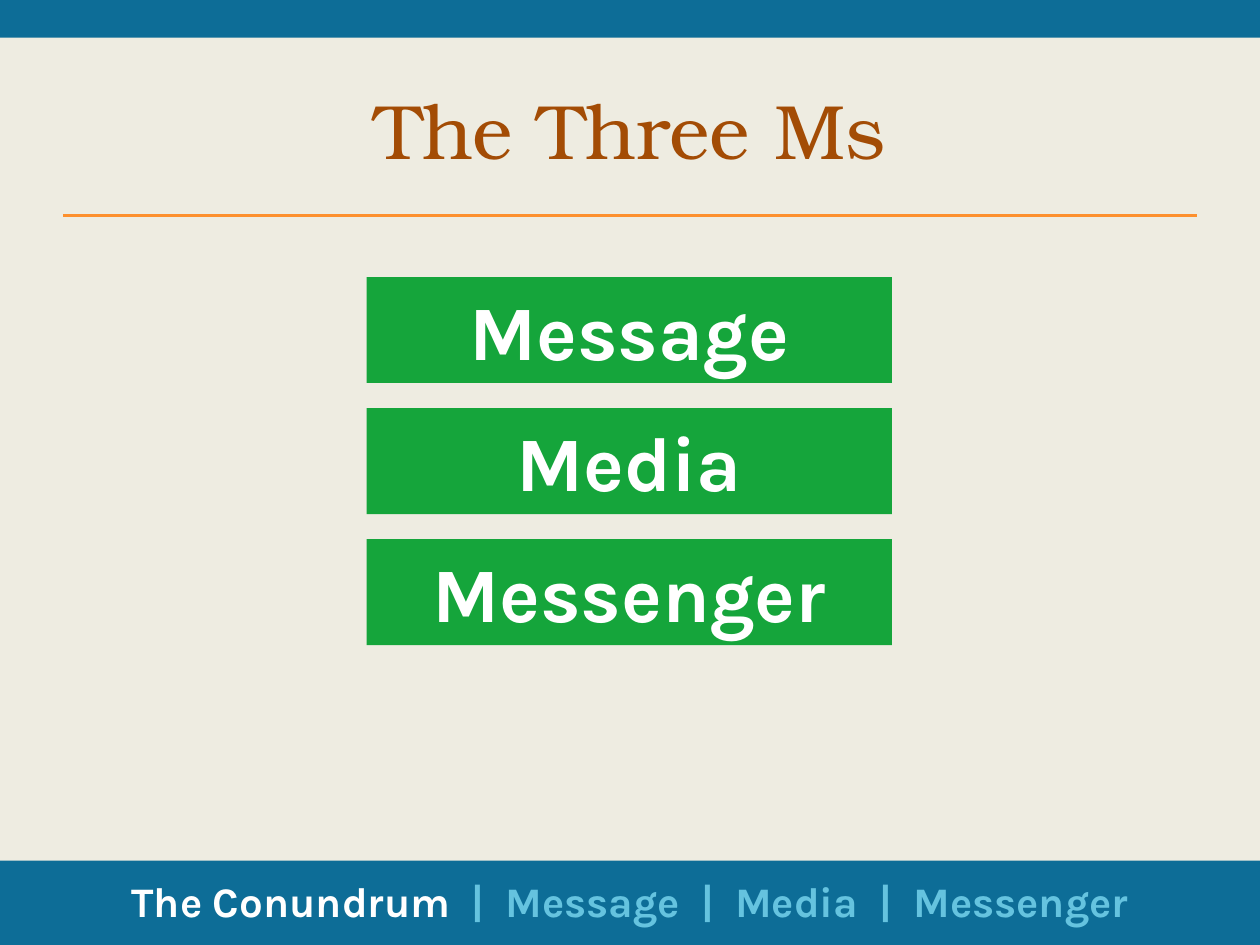
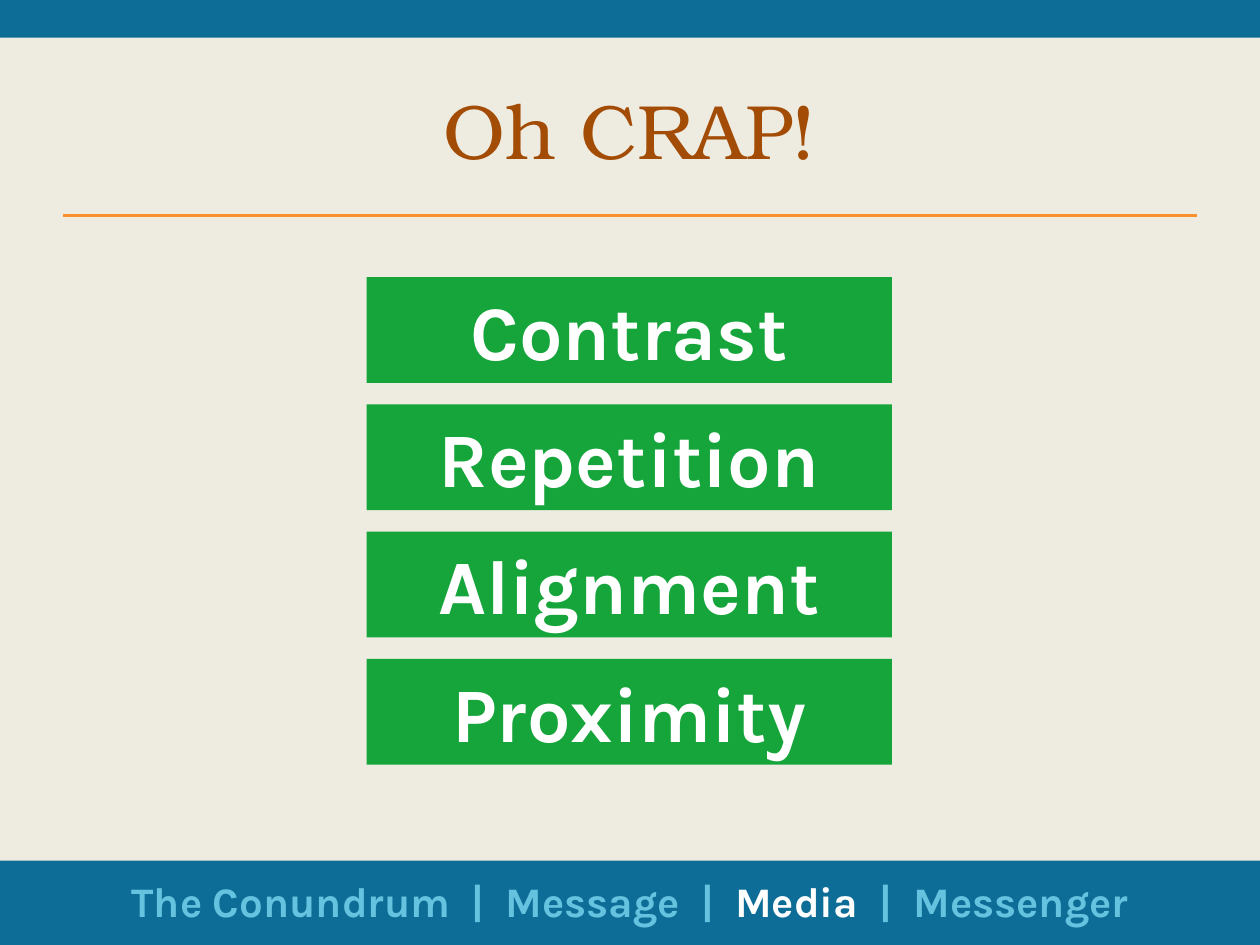
from dataclasses import dataclass

from lxml.etree import SubElement
from pptx import Presentation
from pptx.dml.color import RGBColor
from pptx.enum.shapes import MSO_CONNECTOR, MSO_SHAPE
from pptx.enum.text import MSO_ANCHOR as Anchor, MSO_AUTO_SIZE as AutoSize, PP_ALIGN as Align
from pptx.oxml.ns import qn
from pptx.util import Inches, Pt

SLIDE_WIDTH, SLIDE_HEIGHT = Inches(10), Inches(7.5)
COLUMNS, ROWS = 100, 75
COLUMN, ROW = SLIDE_WIDTH / COLUMNS, SLIDE_HEIGHT / ROWS

COLORS = {
    "background": "EEECE1",
    "band": "0D6D97",
    "rule": "FD902E",
    "title": "A34C05",
    "card": "15A53B",
    "active": "FFFFFF",
    "inactive": "65C3DF",
}
TITLE_FONT, BODY_FONT = "TeX Gyre Bonum", "Karla"
SECTIONS = ["The Conundrum", "Message", "Media", "Messenger"]
SEPARATOR_GAP = 6  # points added to the space on each side of a bar


@dataclass
class Box:
    """An area measured in grid columns and rows."""
    left: float
    top: float
    width: float
    height: float

    def emu(self):
        return (round(self.left * COLUMN), round(self.top * ROW),
                round(self.width * COLUMN), round(self.height * ROW))


TOP_BAND = Box(0, 0, COLUMNS, 3)
BOTTOM_BAND = Box(0, 68.3, COLUMNS, 6.7)
HEADER = Box(5, 5, 90, 12.1)
TITLE_ROWS = 10.5
CARD_STACK = Box(29.1, 22, 41.7, 38.7)
CARD_ROWS = 8.4


def color(role):
    return RGBColor.from_string(COLORS[role])


def style_run(run, font_name, size, role, bold=False):
    font = run.font
    font.name, font.size, font.bold = font_name, Pt(size), bold
    font.color.rgb = color(role)


def add_rectangle(slide, box, role):
    rectangle = slide.shapes.add_shape(MSO_SHAPE.RECTANGLE, *box.emu())
    rectangle.shadow.inherit = False
    rectangle.fill.solid()
    rectangle.fill.fore_color.rgb = color(role)
    rectangle.line.fill.background()
    return rectangle


def set_frame(frame, anchor):
    """Wrap and center the frame's text and return its paragraph."""
    frame.word_wrap = True
    frame.vertical_anchor = anchor
    paragraph = frame.paragraphs[0]
    paragraph.alignment = Align.CENTER
    return paragraph


def add_header(slide, box, title):
    """Place the title at the top of the box and the rule along its bottom."""
    title_box = Box(box.left, box.top, box.width, TITLE_ROWS)
    heading = set_frame(slide.shapes.add_textbox(*title_box.emu()).text_frame, Anchor.MIDDLE)
    heading.text = title
    style_run(heading.runs[0], TITLE_FONT, 44, "title")

    left, top, width, height = box.emu()
    rule = slide.shapes.add_connector(
        MSO_CONNECTOR.STRAIGHT, left, top + height, left + width, top + height)
    rule.line.color.rgb = color("rule")
    rule.line.width = Pt(2)
    SubElement(rule.element.spPr, qn("a:effectLst"))


def add_card_stack(slide, box, terms, pitch):
    """Stack one card per term, with tops a pitch of rows apart."""
    for index, term in enumerate(terms):
        card_box = Box(box.left, box.top + index * pitch, box.width, CARD_ROWS)
        frame = add_rectangle(slide, card_box, "card").text_frame
        label = set_frame(frame, Anchor.TOP)
        frame.auto_size = AutoSize.SHAPE_TO_FIT_TEXT
        label.text = term
        style_run(label.runs[0], BODY_FONT, 44, "active", bold=True)


def add_section_tracker(slide, box, current):
    """List the sections in the bottom band, with the current one lit."""
    tracker_box = Box(box.left + 5, box.top + 0.7, box.width - 10, 5)
    frame = slide.shapes.add_textbox(*tracker_box.emu()).text_frame
    trail = set_frame(frame, Anchor.TOP)
    frame.auto_size = AutoSize.SHAPE_TO_FIT_TEXT

    def add_piece(text, role="inactive"):
        piece = trail.add_run()
        piece.text = text
        style_run(piece, BODY_FONT, 24, role, bold=True)
        if text == " ":
            piece.font._element.set("spc", str(SEPARATOR_GAP * 100))

    for index, section in enumerate(SECTIONS):
        if index:
            for mark in " | ":
                add_piece(mark)
        add_piece(section, "active" if section == current else "inactive")


def add_terms_slide(deck, title, terms, pitch, current):
    slide = deck.slides.add_slide(deck.slide_layouts[6])
    slide.background.fill.solid()
    slide.background.fill.fore_color.rgb = color("background")
    for band in (BOTTOM_BAND, TOP_BAND):
        add_rectangle(slide, band, "band")
    add_header(slide, HEADER, title)
    add_card_stack(slide, CARD_STACK, terms, pitch)
    add_section_tracker(slide, BOTTOM_BAND, current)


def main():
    deck = Presentation()
    deck.slide_width, deck.slide_height = SLIDE_WIDTH, SLIDE_HEIGHT
    add_terms_slide(deck, "The Three Ms", SECTIONS[1:], 10.4, "The Conundrum")
    add_terms_slide(deck, "Oh CRAP!",
                    ["Contrast", "Repetition", "Alignment", "Proximity"], 10.1, "Media")
    deck.save("out.pptx")


if __name__ == "__main__":
    main()
